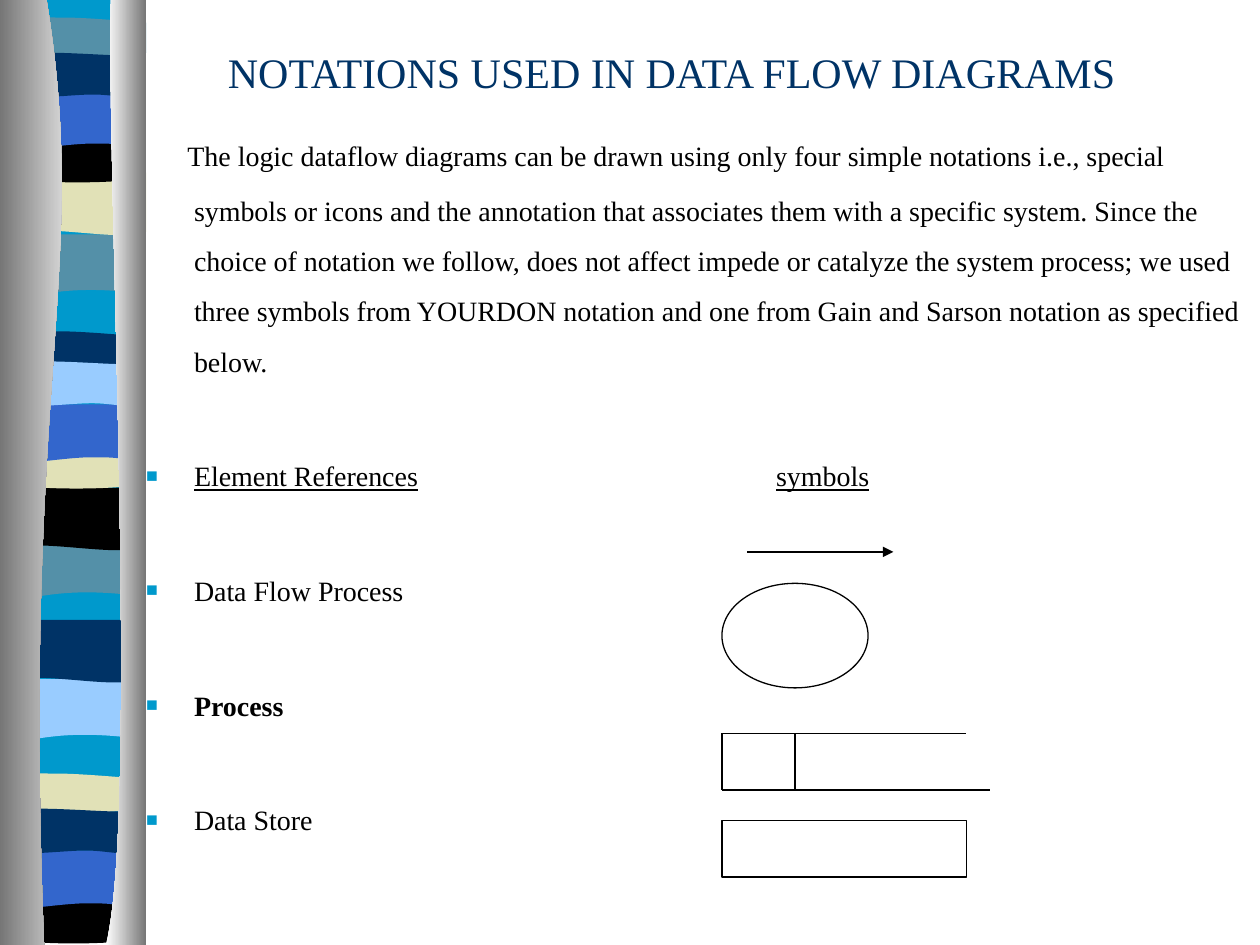
from lxml.etree import SubElement
from pptx import Presentation
from pptx.dml.color import RGBColor
from pptx.enum.shapes import MSO_CONNECTOR, MSO_SHAPE
from pptx.enum.text import MSO_ANCHOR, MSO_AUTO_SIZE, PP_ALIGN
from pptx.oxml.ns import qn
from pptx.util import Inches, Pt

NAVY = RGBColor(0x00, 0x33, 0x66)
CYAN = RGBColor(0x00, 0x99, 0xCC)
TEAL = RGBColor(0x54, 0x90, 0xA8)
SAND = RGBColor(0xE1, 0xE1, 0xB7)
BLUE = RGBColor(0x33, 0x66, 0xCC)
SKY = RGBColor(0x99, 0xCC, 0xFF)
GREY = RGBColor(0x76, 0x76, 0x76)
BLACK = RGBColor(0x00, 0x00, 0x00)
WHITE = RGBColor(0xFF, 0xFF, 0xFF)
FONT = "Times New Roman"

# Stripe outlines in inches: a pair is a corner, three pairs are a Bezier curve
W = 1.03
DRIP = [(W, 0), (W, .47), ((.32, .38), (.17, .54), (0, .47)), (0, 0)]
SAG = [(W, 0), (W, .47), ((.85, .55), (.31, .42), (0, .47)), (0, 0)]
LENS = [(W, .05), (W, .29), ((.85, .33), (.17, .33), (0, .29)), (0, .05),
        ((.06, 0), (.22, .01), (.39, .01)), ((.56, .01), (.89, .04), (W, .05))]
BOWL = [(W, 0), (W, .33), ((.86, .38), (.17, .38), (0, .33)), (0, 0),
        ((.63, .05), (.81, 0), (W, 0))]
ARCH = [(W, 0), (W, .47), ((.87, .42), (.81, .42), (.63, .42)),
        ((.46, .42), (.16, .47), (0, .47)), (0, 0)]
WAVE = [(W, .05), (W, .36), ((.97, .41), (.81, .36), (.64, .36)),
        ((.46, .36), (.11, .41), (0, .36)), (0, .05),
        ((.15, 0), (.7, .05), (.87, .05)), (W, .05)]

# Outline, left, top, colour, from back to front
STRIPES = [
    (DRIP, .1, 1.86, TEAL), (SAG, .13, 1.37, SAND), (LENS, .13, .13, TEAL),
    (BOWL, .1, 1.08, BLACK), (ARCH, .1, .72, BLUE), (WAVE, .1, .39, NAVY),
    (DRIP, .07, 4.26, TEAL), (SAG, .09, 3.87, BLACK), (LENS, .09, 2.62, NAVY),
    (BOWL, .09, 3.51, SAND), (ARCH, .09, 3.21, BLUE), (WAVE, .09, 2.84, SKY),
    (DRIP, .05, 5.39, SKY), (SAG, .08, 4.92, NAVY), (LENS, .07, 6.13, SAND),
    (BOWL, .07, 7.12, BLACK), (ARCH, .05, 6.75, BLUE), (WAVE, .04, 6.39, NAVY),
]
LEFT_EDGE = [(.37, 0), ((.72, 2.16), (.17, 2.96), (.35, 7.5)), (0, 7.5), (0, 0)]
RIGHT_EDGE = [(.88, 0), ((.84, 1.25), (1.11, 6.46), (.84, 7.5)),
              (1.16, 7.5), (1.16, 0)]

INTRO = ("The logic dataflow diagrams can be drawn using only four simple notations "
         "i.e., special symbols or icons and the annotation that associates them with "
         "a specific system. Since the choice of notation we follow, does not affect "
         "impede or catalyze the system process; we used three symbols from YOURDON "
         "notation and one from Gain and Sarson notation as specified below.")


def add_outline(page, outline, left, top):
    """Draw the control points as a polygon, then bend its curved parts."""
    points = []
    for part in outline:
        points.extend(part if len(part) == 3 else [part])
    points = [(Inches(left + x), Inches(top + y)) for x, y in points]
    builder = page.shapes.build_freeform(*points[0], scale=1.0)
    builder.add_line_segments(points[1:], close=True)
    shape = builder.convert_to_shape()
    segments = iter(list(shape._element.iter(qn("a:lnTo"))))
    for part in outline[1:]:
        segment = next(segments)
        if len(part) == 3:
            segment.tag = qn("a:cubicBezTo")
            for _ in range(2):
                extra = next(segments)
                segment.append(extra[0])
                extra.getparent().remove(extra)
    shape.shadow.inherit = False
    shape.line.fill.background()
    return shape


def add_ribbon(page, left, top):
    """Striped ribbon between two shaded edges."""
    base = [(.11, 0), (1.13, 0), (1.13, 7.47), (.11, 7.47)]
    for outline, x, y, color in [(base, 0, 0, CYAN), *STRIPES]:
        shape = add_outline(page, outline, left + x, top + y)
        shape.fill.solid()
        shape.fill.fore_color.rgb = color
    for outline, colors in ((LEFT_EDGE, (GREY, WHITE)), (RIGHT_EDGE, (WHITE, GREY))):
        fill = add_outline(page, outline, left, top).fill
        fill.gradient()
        fill.gradient_angle = 0
        for stop, color, position in zip(fill.gradient_stops, colors, (0, 1)):
            stop.color.rgb = color
            stop.position = position


def add_span(para, text, size=16, color=BLACK, bold=False, underline=False, face=FONT):
    span = para.add_run()
    span.text = text
    font = span.font
    font.name, font.size, font.bold, font.underline = face, Pt(size), bold, underline
    font.color.rgb = color


def place(box, left, top, width, height):
    box.left, box.top = Inches(left), Inches(top)
    box.width, box.height = Inches(width), Inches(height)
    frame = box.text_frame
    frame.word_wrap = True
    frame.auto_size = MSO_AUTO_SIZE.NONE
    return frame


def fill_title(box, left, top, width, height):
    frame = place(box, left, top, width, height)
    frame.vertical_anchor = MSO_ANCHOR.MIDDLE
    frame.margin_top = Inches(.3)
    para = frame.paragraphs[0]
    para.alignment = PP_ALIGN.CENTER
    add_span(para, "NOTATIONS USED IN DATA FLOW DIAGRAMS", size=24, color=NAVY)


def format_para(para, indent, before, bullet=False, tab=None):
    para.line_spacing = 1.5
    para.space_before = Pt(before)
    props = para._p.get_or_add_pPr()
    props.set("marL", str(Inches(.38)))
    props.set("indent", str(Inches(indent)))
    if bullet:
        color = SubElement(props, qn("a:buClr"))
        SubElement(color, qn("a:srgbClr"), val=str(CYAN))
        SubElement(props, qn("a:buSzPct"), val="70000")
        SubElement(props, qn("a:buFont"), typeface="Arial")
        SubElement(props, qn("a:buChar"), char="■")
    else:
        SubElement(props, qn("a:buNone"))
    if tab:
        tabs = SubElement(props, qn("a:tabLst"))
        SubElement(tabs, qn("a:tab"), pos=str(Inches(tab)), algn="l")


def fill_body(box, left, top, width, height):
    frame = place(box, left, top, width, height)
    para = frame.paragraphs[0]
    format_para(para, indent=-.16, before=4)
    # The large leading space sets the height of the first line
    add_span(para, " ", size=28, face="Arial")
    add_span(para, INTRO)
    # Column heads, then the named elements
    for name in ("Element References", "Data Flow Process", "Process", "Data Store"):
        heads = name == "Element References"
        para = frame.add_paragraph()
        format_para(para, indent=-.38, before=36.7, bullet=True, tab=5 if heads else None)
        add_span(para, name, bold=name == "Process", underline=heads)
        if heads:
            add_span(para, "\t")
            add_span(para, "symbols", underline=True)


def add_symbols(page, left, top):
    """Arrow, process circle, open data store and entity box."""
    def add_stroke(x1, y1, x2, y2, arrow=False):
        stroke = page.shapes.add_connector(
            MSO_CONNECTOR.STRAIGHT, Inches(left + x1), Inches(top + y1),
            Inches(left + x2), Inches(top + y2))
        stroke.line.color.rgb = BLACK
        stroke.line.width = Pt(.75)
        if arrow:
            SubElement(stroke.line._get_or_add_ln(), qn("a:tailEnd"), type="triangle")
        SubElement(stroke._element.spPr, qn("a:effectLst"))

    add_stroke(.2, 0, 1.36, 0, arrow=True)
    for kind, y, width, height in ((MSO_SHAPE.OVAL, .25, 1.16, .83),
                                   (MSO_SHAPE.RECTANGLE, 2.13, 1.94, .45)):
        shape = page.shapes.add_shape(kind, Inches(left), Inches(top + y),
                                      Inches(width), Inches(height))
        shape.shadow.inherit = False
        shape.fill.solid()
        shape.fill.fore_color.rgb = WHITE
        shape.line.color.rgb = BLACK
        shape.line.width = Pt(.75)
    # Data store
    upper, lower = 1.44, 1.89
    for x in (0, .58):
        add_stroke(x, upper, x, lower)
    add_stroke(0, upper, 1.94, upper)
    add_stroke(0, lower, 2.13, lower)


def main():
    deck = Presentation()
    deck.slide_width, deck.slide_height = Inches(10), Inches(7.5)
    page = deck.slides.add_slide(deck.slide_layouts[1])
    add_ribbon(page, 0, 0)
    fill_title(page.shapes.title, 1.08, 0, 8.5, .88)
    fill_body(page.placeholders[1], 1.06, .65, 8.94, 6.85)
    add_symbols(page, 5.73, 4.38)
    deck.save("out.pptx")


if __name__ == "__main__":
    main()
